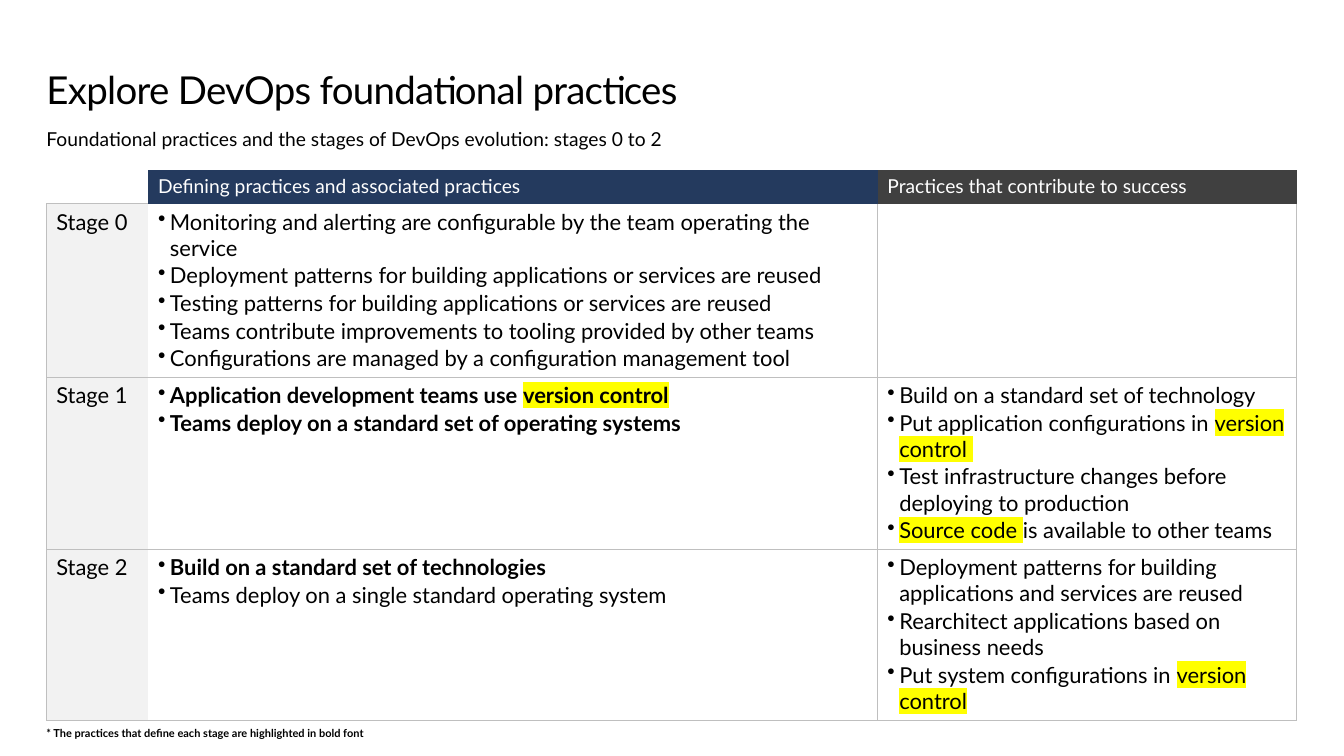
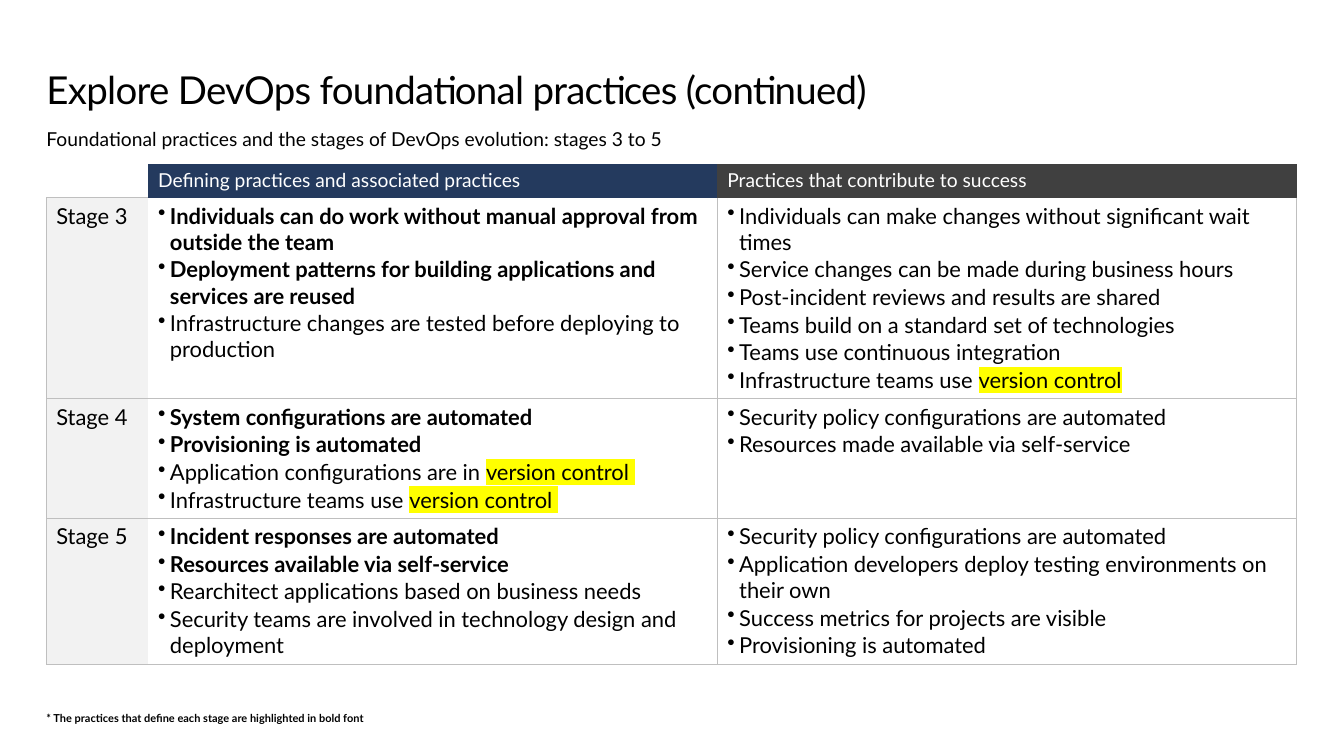
"""Build two slides that table the foundational practices of DevOps by stage."""
from dataclasses import dataclass

from lxml import etree
from pptx import Presentation
from pptx.dml.color import RGBColor
from pptx.enum.text import MSO_ANCHOR, MSO_AUTO_SIZE, PP_ALIGN
from pptx.oxml.ns import qn
from pptx.util import Inches, Pt

TOP, MIDDLE = MSO_ANCHOR.TOP, MSO_ANCHOR.MIDDLE
LEFT = PP_ALIGN.LEFT
GROW = MSO_AUTO_SIZE.SHAPE_TO_FIT_TEXT
TITLE_ONLY = 5


@dataclass(frozen=True)
class Theme:
    """Colours, font and type sizes shared by the slides."""
    font: str = "Lato"
    ink: str = "000000"
    paper: str = "FFFFFF"
    navy: str = "243A5E"
    charcoal: str = "404040"
    stage_fill: str = "F2F2F2"
    rule: str = "BFBFBF"
    marker: str = "FFFF00"
    title: int = 28
    heading: int = 14
    body: int = 16
    note: int = 8


THEME = Theme()
MARGIN, CONTENT_WIDTH, TEXT_WIDTH = 0.47, 12.65, 11.86
STAGE_WIDTH, HEADING_HEIGHT = 1.03, 0.34
BULLET_INDENT = 0.12

HEADINGS = [
    ("Defining practices and associated practices", THEME.navy),
    ("Practices that contribute to success", THEME.charcoal),
]
NOTE = "* The practices that define each stage are highlighted in bold font"

# Square brackets enclose highlighted words.
SLIDES = [
    {
        "title": "Explore DevOps foundational practices",
        "subtitle": "Foundational practices and the stages of DevOps evolution: stages 0 to 2",
        "table_top": 1.72,
        "practices_width": 7.38,
        "note_top": 7.35,
        "stages": [
            {
                "name": "Stage 0",
                "height": 1.75,
                "defining": [],
                "associated": [
                    "Monitoring and alerting are configurable by the team operating the service",
                    "Deployment patterns for building applications or services are reused",
                    "Testing patterns for building applications or services are reused",
                    "Teams contribute improvements to tooling provided by other teams",
                    "Configurations are managed by a configuration management tool",
                ],
                "contributing": [],
            },
            {
                "name": "Stage 1",
                "height": 1.74,
                "defining": [
                    "Application development teams use [version control]",
                    "Teams deploy on a standard set of operating systems",
                ],
                "associated": [],
                "contributing": [
                    "Build on a standard set of technology",
                    "Put application configurations in [version control ]",
                    "Test infrastructure changes before deploying to production",
                    "[Source code ]is available to other teams",
                ],
            },
            {
                "name": "Stage 2",
                "height": 1.73,
                "defining": ["Build on a standard set of technologies"],
                "associated": ["Teams deploy on a single standard operating system"],
                "contributing": [
                    "Deployment patterns for building applications and services are reused",
                    "Rearchitect applications based on business needs",
                    "Put system configurations in [version control]",
                ],
            },
        ],
    },
    {
        "title": "Explore DevOps foundational practices (continued)",
        "subtitle": "Foundational practices and the stages of DevOps evolution: stages 3 to 5",
        "table_top": 1.66,
        "practices_width": 5.76,
        "note_top": 7.2,
        "stages": [
            {
                "name": "Stage 3",
                "height": 2.03,
                "defining": [
                    "Individuals can do work without manual approval from outside the team",
                    "Deployment patterns for building applications and services are reused",
                ],
                "associated": [
                    "Infrastructure changes are tested before deploying to production",
                ],
                "contributing": [
                    "Individuals can make changes without significant wait times",
                    "Service changes can be made during business hours",
                    "Post-incident reviews and results are shared",
                    "Teams build on a standard set of technologies",
                    "Teams use continuous integration",
                    "Infrastructure teams use [version control]",
                ],
            },
            {
                "name": "Stage 4",
                "height": 1.21,
                "defining": [
                    "System configurations are automated",
                    "Provisioning is automated",
                ],
                "associated": [
                    "Application configurations are in [version control ]",
                    "Infrastructure teams use [version control ]",
                ],
                "contributing": [
                    "Security policy configurations are automated",
                    "Resources made available via self-service",
                ],
            },
            {
                "name": "Stage 5",
                "height": 1.48,
                "defining": [
                    "Incident responses are automated",
                    "Resources available via self-service",
                ],
                "associated": [
                    "Rearchitect applications based on business needs",
                    "Security teams are involved in technology design and deployment",
                ],
                "contributing": [
                    "Security policy configurations are automated",
                    "Application developers deploy testing environments on their own",
                    "Success metrics for projects are visible",
                    "Provisioning is automated",
                ],
            },
        ],
    },
]


def style(run, size, color=THEME.ink, bold=False):
    """Give a run its font, size, colour and weight."""
    run.font.name = THEME.font
    run.font.size = Pt(size)
    run.font.bold = bold
    run.font.color.rgb = RGBColor.from_string(color)


def highlight(run):
    """Mark a styled run with the highlighter colour."""
    mark = etree.Element(qn("a:highlight"))
    etree.SubElement(mark, qn("a:srgbClr"), val=THEME.marker)
    run.font._element.find(qn("a:solidFill")).addnext(mark)


def write_line(shape, top, width, height, text, size, bold=False, anchor=MIDDLE):
    """Place a shape at the left margin and write one line in it."""
    shape.left, shape.top = Inches(MARGIN), Inches(top)
    shape.width, shape.height = Inches(width), Inches(height)
    frame = shape.text_frame
    frame.text = text
    frame.word_wrap = True
    frame.auto_size = GROW
    frame.vertical_anchor = anchor
    frame.margin_left = frame.margin_right = 0
    frame.margin_top = frame.margin_bottom = 0
    line = frame.paragraphs[0]
    line.alignment = LEFT
    style(line.runs[0], size, bold=bold)
    return line


def add_title(slide, text):
    """Fill the title placeholder with tightly spaced text."""
    line = write_line(slide.shapes.title, 0.69, CONTENT_WIDTH, 0.45, text,
                      THEME.title, anchor=TOP)
    line.line_spacing = Pt(32)
    line.runs[0].font._element.set("spc", "-50")


def add_text(slide, *line):
    """Add a text box that holds one line."""
    write_line(slide.shapes.add_textbox(0, 0, 0, 0), *line)


def write_practices(cell, practices):
    """Write (text, bold) pairs as bullets, highlighting bracketed words."""
    for index, (text, bold) in enumerate(practices):
        frame = cell.text_frame
        bullet = frame.add_paragraph() if index else frame.paragraphs[0]
        properties = bullet._p.get_or_add_pPr()
        properties.set("marL", str(Inches(BULLET_INDENT)))
        properties.set("indent", str(-Inches(BULLET_INDENT)))
        etree.SubElement(properties, qn("a:buChar"), char="•")
        if index:
            bullet.space_before = Pt(1)
        for part, words in enumerate(text.replace("]", "[").split("[")):
            if words:
                run = bullet.add_run()
                run.text = words
                style(run, THEME.body, bold=bold)
                if part % 2:
                    highlight(run)


def set_borders(cell, sides):
    """Rule the listed sides of a cell and clear the others."""
    properties = cell._tc.get_or_add_tcPr()
    for index, side in enumerate("LRTB"):
        line = etree.Element(qn(f"a:ln{side}"), w=str(Pt(0.5)))
        if side in sides:
            fill = etree.SubElement(line, qn("a:solidFill"))
            etree.SubElement(fill, qn("a:srgbClr"), val=THEME.rule)
        else:
            etree.SubElement(line, qn("a:noFill"))
        properties.insert(index, line)


def finish_cell(cell, sides, fill=None, text=None, size=THEME.body, color=THEME.ink):
    """Fill and rule a cell, with plain text if given."""
    if fill:
        cell.fill.solid()
        cell.fill.fore_color.rgb = RGBColor.from_string(fill)
    else:
        cell.fill.background()
    if text:
        cell.text_frame.text = text
        style(cell.text_frame.paragraphs[0].runs[0], size, color)
    set_borders(cell, sides)


def add_stage_table(slide, content):
    """Add the table of stages with their practices."""
    stages = content["stages"]
    widths = [STAGE_WIDTH, content["practices_width"]]
    widths.append(CONTENT_WIDTH - sum(widths))
    heights = [HEADING_HEIGHT] + [stage["height"] for stage in stages]
    table = slide.shapes.add_table(
        len(heights), len(widths), Inches(MARGIN), Inches(content["table_top"]),
        Inches(CONTENT_WIDTH), Inches(sum(heights))).table
    for column, width in zip(table.columns, widths):
        column.width = Inches(width)
    for row, height in zip(table.rows, heights):
        row.height = Inches(height)

    corner = table.cell(0, 0)
    corner.margin_top = corner.margin_bottom = 0
    finish_cell(corner, "B")
    for column, (heading, fill) in enumerate(HEADINGS, 1):
        finish_cell(table.cell(0, column), "", fill, heading, THEME.heading, THEME.paper)

    for row, stage in enumerate(stages, 1):
        own = [(text, True) for text in stage["defining"]]
        own += [(text, False) for text in stage["associated"]]
        contributing = [(text, False) for text in stage["contributing"]]
        finish_cell(table.cell(row, 0), "LTB", THEME.stage_fill, stage["name"])
        top = "T" if row > 1 else ""
        for column, practices, sides in ((1, own, "RB"), (2, contributing, "LRB")):
            write_practices(table.cell(row, column), practices)
            finish_cell(table.cell(row, column), sides + top)


def main():
    """Build and save the presentation."""
    deck = Presentation()
    deck.slide_width, deck.slide_height = Inches(13.6), Inches(7.65)
    for content in SLIDES:
        slide = deck.slides.add_slide(deck.slide_layouts[TITLE_ONLY])
        add_title(slide, content["title"])
        add_text(slide, 1.28, TEXT_WIDTH, 0.24, content["subtitle"], THEME.heading)
        add_stage_table(slide, content)
        add_text(slide, content["note_top"], TEXT_WIDTH, 0.13, NOTE, THEME.note, True)
    deck.save("out.pptx")


if __name__ == "__main__":
    main()
